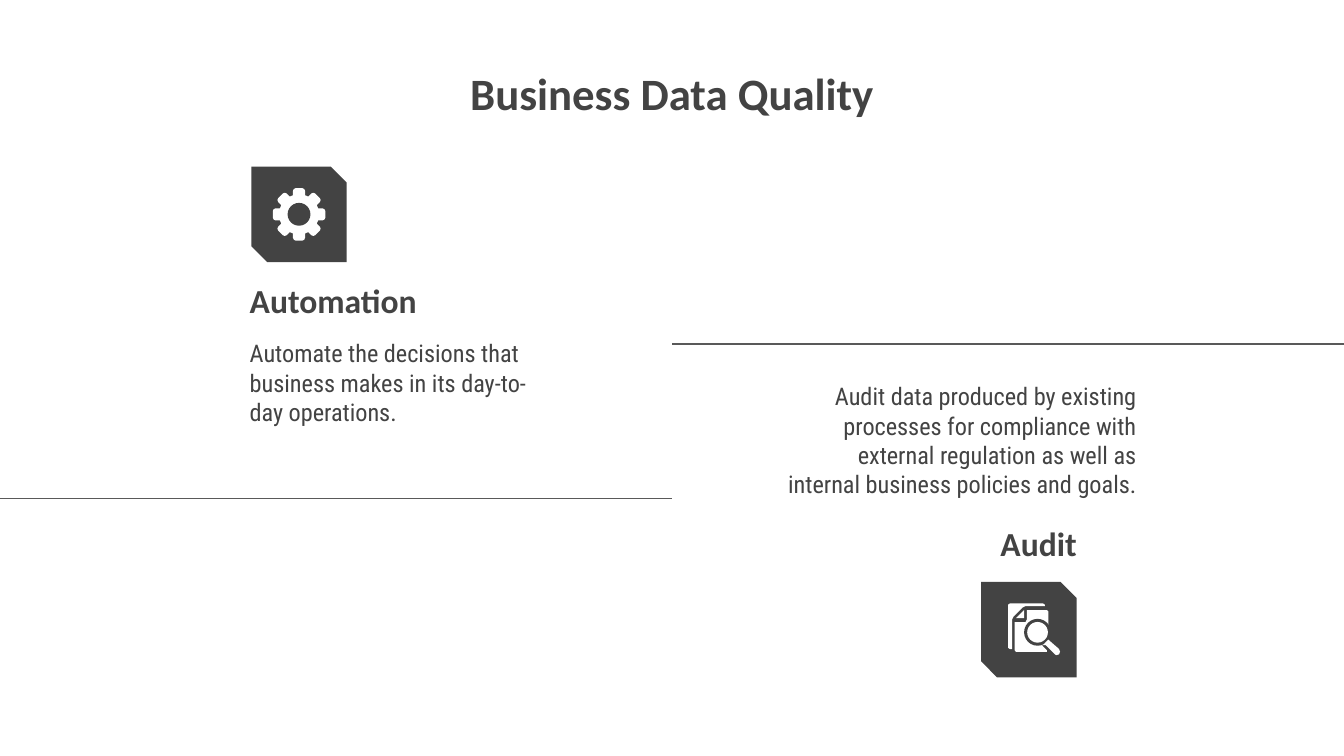
from dataclasses import dataclass
from math import cos, pi, sin

from lxml.etree import SubElement
from pptx import Presentation
from pptx.dml.color import RGBColor
from pptx.enum.shapes import MSO_CONNECTOR as Connector, MSO_SHAPE as Shape
from pptx.enum.text import MSO_ANCHOR as Anchor, PP_ALIGN as Align
from pptx.oxml.ns import qn
from pptx.util import Inches, Pt


@dataclass(frozen=True)
class Theme:
    ink: str = "434343"
    rule: str = "595959"
    paper: str = "FFFFFF"
    heading_font: str = "Calibri"
    body_font: str = "Roboto Condensed"
    title_size: int = 24
    heading_size: int = 18
    body_size: int = 13
    rule_width: float = 0.75


class SlideBuilder:
    columns = 100
    rows = 56.25

    def __init__(self, presentation, theme):
        self.theme = theme
        self.column = presentation.slide_width / self.columns
        self.row = presentation.slide_height / self.rows
        self.slide = presentation.slides.add_slide(presentation.slide_layouts[6])
        self.shapes = self.slide.shapes
        fill = self.slide.background.fill
        fill.solid()
        fill.fore_color.rgb = RGBColor.from_string(theme.paper)

    def place(self, column, row):
        return round(column * self.column), round(row * self.row)

    def text(self, box, words, size, font, bold=False, align=Align.LEFT, anchor=Anchor.TOP):
        left, top, width, height = box
        shape = self.shapes.add_textbox(*self.place(left, top), *self.place(width, height))
        frame = shape.text_frame
        frame.word_wrap = True
        frame.vertical_anchor = anchor
        frame.margin_left = frame.margin_right = Inches(0.1)
        frame.margin_top = frame.margin_bottom = Inches(0.1)
        frame.text = words
        paragraph = frame.paragraphs[0]
        paragraph.alignment = align
        run_font = paragraph.runs[0].font
        run_font.name, run_font.size, run_font.bold = font, Pt(size), bold
        run_font.color.rgb = RGBColor.from_string(self.theme.ink)

    def title(self, box, words):
        self.text(box, words, self.theme.title_size, self.theme.heading_font, True, Align.CENTER)

    def heading(self, box, words, align):
        self.text(box, words, self.theme.heading_size, self.theme.heading_font, True, align, Anchor.BOTTOM)

    def body(self, box, words, align):
        self.text(box, words, self.theme.body_size, self.theme.body_font, align=align)

    def rule(self, start, end, row):
        line = self.shapes.add_connector(
            Connector.STRAIGHT, *self.place(start, row), *self.place(end, row))
        line.line.color.rgb = RGBColor.from_string(self.theme.rule)
        line.line.width = Pt(self.theme.rule_width)
        SubElement(line._element.spPr, qn("a:effectLst"))

    def paint(self, shape, color):
        shape.shadow.inherit = False
        shape.fill.solid()
        shape.fill.fore_color.rgb = RGBColor.from_string(color)
        shape.line.fill.background()

    def tile(self, left, top, side=7.1):
        shape = self.shapes.add_shape(
            Shape.SNIP_2_DIAG_RECTANGLE, *self.place(left, top), *self.place(side, side))
        shape.adjustments[0], shape.adjustments[1] = 0, 0.167
        self.paint(shape, self.theme.ink)

    def disc(self, center, radius, color):
        x, y = center
        shape = self.shapes.add_shape(
            Shape.OVAL, *self.place(x - radius, y - radius), *self.place(2 * radius, 2 * radius))
        self.paint(shape, color)

    def outline(self, points):
        start, *others = [self.place(*point) for point in points]
        builder = self.shapes.build_freeform(*start, scale=1.0)
        builder.add_line_segments(others, close=True)
        self.paint(builder.convert_to_shape(), self.theme.paper)

    def gear(self, center, teeth=8):
        profile = [(-0.45, 1.42), (-0.45, 1.75), (-0.38, 1.89), (-0.25, 1.95),
                   (0.25, 1.95), (0.38, 1.89), (0.45, 1.75), (0.45, 1.42)]
        x, y = center
        angles = [2 * pi * tooth / teeth for tooth in range(teeth)]
        self.outline([
            (x + out * sin(angle) + side * cos(angle), y - out * cos(angle) + side * sin(angle))
            for angle in angles for side, out in profile])
        self.disc(center, 0.85, self.theme.ink)

    def magnified_pages(self, left, top):
        def draw(points):
            self.outline([(left + x, top + y) for x, y in points])

        draw([(0.15, 0), (2.6, 0), (2.75, 0.1), (2.75, 0.2), (1.3, 0.2), (1.1, 0.3),
              (0.4, 1), (0.3, 1.2), (0.3, 3.4), (0.15, 3.4), (0, 3.3), (0, 0.1)])
        draw([(1.2, 0.5), (1.2, 1.1), (0.6, 1.1)])
        draw([(1.4, 0.5), (2.9, 0.5), (3, 0.6), (3, 3.1), (2.5, 3.1), (2.9, 3.5),
              (2.9, 3.6), (0.6, 3.6), (0.5, 3.5), (0.5, 1.4), (1.3, 1.4), (1.4, 1.2)])
        lens = (left + 2.2, top + 2.15)
        self.disc(lens, 1, self.theme.ink)
        self.disc(lens, 0.77, self.theme.paper)
        draw([(3, 2.7), (3.8, 3.4), (3.87, 3.6), (3.8, 3.8), (3.6, 3.85), (3.5, 3.8), (2.7, 3)])


def main():
    presentation = Presentation()
    presentation.slide_width = Inches(10)
    presentation.slide_height = presentation.slide_width * 9 // 16
    page = SlideBuilder(presentation, Theme())

    page.title((21.5, 3.9, 57, 10.3), "Business Data Quality")

    page.heading((17.6, 20.1, 16.7, 4.7), "Automation", Align.LEFT)
    page.body((17.6, 24.2, 23.6, 11),
              "Automate the decisions that business makes in its day-to-day operations.",
              Align.LEFT)
    page.tile(18.7, 12.4)
    page.gear((22.25, 15.95))
    page.rule(0, 50, 37.1)

    page.heading((61.6, 38.2, 19.5, 4.7), "Audit", Align.RIGHT)
    page.body((57.5, 27.4, 28, 11),
              "Audit data produced by existing processes for compliance with "
              "external regulation as well as internal business policies and goals.",
              Align.RIGHT)
    page.tile(73, 43.3)
    page.magnified_pages(75, 44.9)
    page.rule(50, 100, 25.6)

    presentation.save("out.pptx")


if __name__ == "__main__":
    main()
